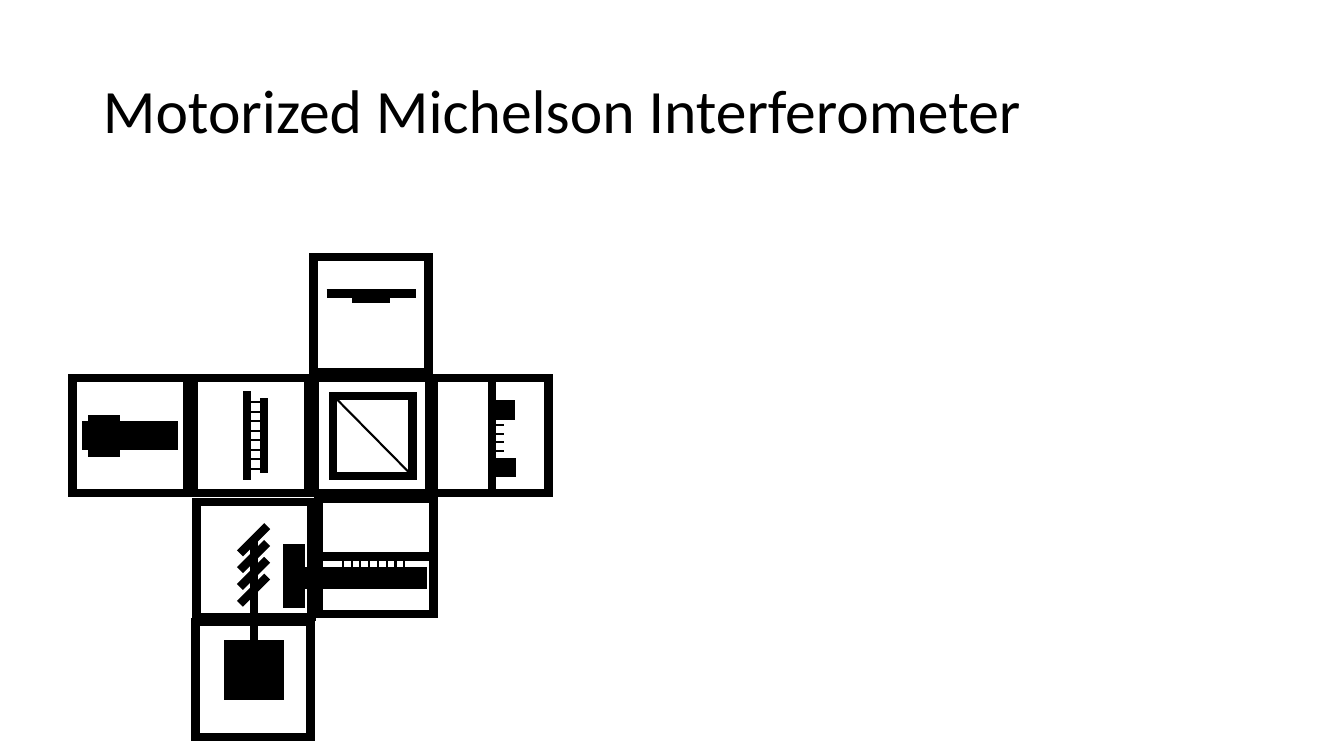
"""Build the Motorized Michelson Interferometer slide from cube modules."""
from dataclasses import dataclass

from lxml import etree
from pptx import Presentation
from pptx.dml.color import RGBColor
from pptx.enum.shapes import MSO_CONNECTOR, MSO_SHAPE
from pptx.enum.text import MSO_ANCHOR, MSO_AUTO_SIZE, PP_ALIGN
from pptx.oxml.ns import qn
from pptx.util import Inches, Pt


@dataclass(frozen=True)
class Theme:
    ink: RGBColor = RGBColor(0, 0, 0)
    font: str = "Calibri"
    title_size: float = 44
    heavy: float = 6
    fine: float = 1.5
    edge: float = 1


THEME = Theme()
CUBE = 1.14
TICKS = 8


@dataclass(frozen=True)
class Box:
    left: float
    top: float
    width: float
    height: float
    solid: bool = True


@dataclass(frozen=True)
class Stroke:
    x1: float
    y1: float
    x2: float
    y2: float
    weight: float = THEME.heavy


@dataclass(frozen=True)
class Module:
    cubes: list[Box]
    optics: list[Box | Stroke]


def cube(left: float, top: float) -> Box:
    return Box(left, top, CUBE, CUBE, solid=False)


def ticks(first: Stroke, dx: float = 0, dy: float = 0, count: int = TICKS) -> list[Stroke]:
    return [
        Stroke(first.x1 + i * dx, first.y1 + i * dy,
               first.x2 + i * dx, first.y2 + i * dy, first.weight)
        for i in range(count)
    ]


def style_line(shape, weight: float) -> None:
    shape.line.color.rgb = THEME.ink
    shape.line.width = Pt(weight)
    outline = shape._element.spPr.find(qn("a:ln"))
    etree.SubElement(outline, qn("a:miter")).set("lim", "800000")


def draw_box(shapes, box: Box) -> None:
    shape = shapes.add_shape(MSO_SHAPE.RECTANGLE, Inches(box.left), Inches(box.top),
                             Inches(box.width), Inches(box.height))
    shape.shadow.inherit = False
    if box.solid:
        shape.fill.solid()
        shape.fill.fore_color.rgb = THEME.ink
    else:
        shape.fill.background()
    style_line(shape, THEME.edge if box.solid else THEME.heavy)


def draw_stroke(shapes, stroke: Stroke) -> None:
    line = shapes.add_connector(MSO_CONNECTOR.STRAIGHT, Inches(stroke.x1), Inches(stroke.y1),
                                Inches(stroke.x2), Inches(stroke.y2))
    style_line(line, stroke.weight)
    etree.SubElement(line._element.spPr, qn("a:effectLst"))


def draw_module(slide, module: Module) -> None:
    shapes = slide.shapes.add_group_shape().shapes
    for item in module.cubes + module.optics:
        if isinstance(item, Box):
            draw_box(shapes, item)
        else:
            draw_stroke(shapes, item)


def write_title(slide, text: str) -> None:
    title = slide.shapes.title
    title.left, title.top = Inches(0.92), Inches(0.4)
    title.width, title.height = Inches(11.5), Inches(1.45)
    frame = title.text_frame
    frame.text = text
    frame.word_wrap = True
    frame.auto_size = MSO_AUTO_SIZE.NONE
    frame.vertical_anchor = MSO_ANCHOR.MIDDLE
    paragraph = frame.paragraphs[0]
    paragraph.alignment = PP_ALIGN.LEFT
    paragraph.line_spacing = 0.9
    font = paragraph.runs[0].font
    font.name, font.size = THEME.font, Pt(THEME.title_size)
    font.color.rgb = THEME.ink


beam_splitter = Module([cube(3.12, 3.75)], [
    Box(3.3, 3.93, 0.79, 0.79, solid=False),
    Stroke(3.33, 3.95, 4.06, 4.69, THEME.fine),
])
laser = Module([cube(0.72, 3.75)], [
    Box(0.88, 4.12, 0.3, 0.41),
    Box(0.82, 4.18, 0.94, 0.28),
])
camera = Module([cube(4.3, 3.75)], [
    Stroke(4.88, 4.93, 4.88, 3.77),
    *ticks(Stroke(4.92, 4.04, 5, 4.04, THEME.fine), dy=0.61 / 7),
    Box(4.93, 4.55, 0.18, 0.18),
    Box(4.92, 3.98, 0.18, 0.18),
])
lens = Module([cube(1.92, 3.75)], [
    Stroke(2.45, 4.76, 2.45, 3.88),
    *ticks(Stroke(2.46, 3.99, 2.62, 3.99, THEME.fine), dy=0.66 / 7),
    Stroke(2.62, 4.69, 2.62, 3.95),
])
moving_stage = Module([cube(3.16, 4.95)], [
    Stroke(3.13, 5.52, 4.28, 5.52),
    *ticks(Stroke(3.4, 5.57, 3.4, 5.64, THEME.fine), dx=0.61 / 7),
])
fixed_mirror = Module([cube(3.11, 2.55)], [
    Stroke(3.24, 2.91, 4.13, 2.91),
    Stroke(3.49, 2.96, 3.87, 2.96),
])
motor_drive = Module([cube(1.95, 4.98), cube(1.94, 6.17)], [
    Box(2.23, 6.36, 0.58, 0.58),
    Box(2.81, 5.4, 0.21, 0.63),
    Box(3.02, 5.63, 1.21, 0.21),
    *ticks(Stroke(2.38, 5.49, 2.65, 5.22), dy=0.5 / 3, count=4),
    Stroke(2.52, 5.34, 2.52, 6.53),
])

presentation = Presentation()
presentation.slide_width = Inches(13.33)
presentation.slide_height = Inches(7.5)
slide = presentation.slides.add_slide(presentation.slide_layouts[5])
write_title(slide, "Motorized Michelson Interferometer")
for module in (beam_splitter, laser, camera, lens, moving_stage, fixed_mirror, motor_drive):
    draw_module(slide, module)
presentation.save("out.pptx")
